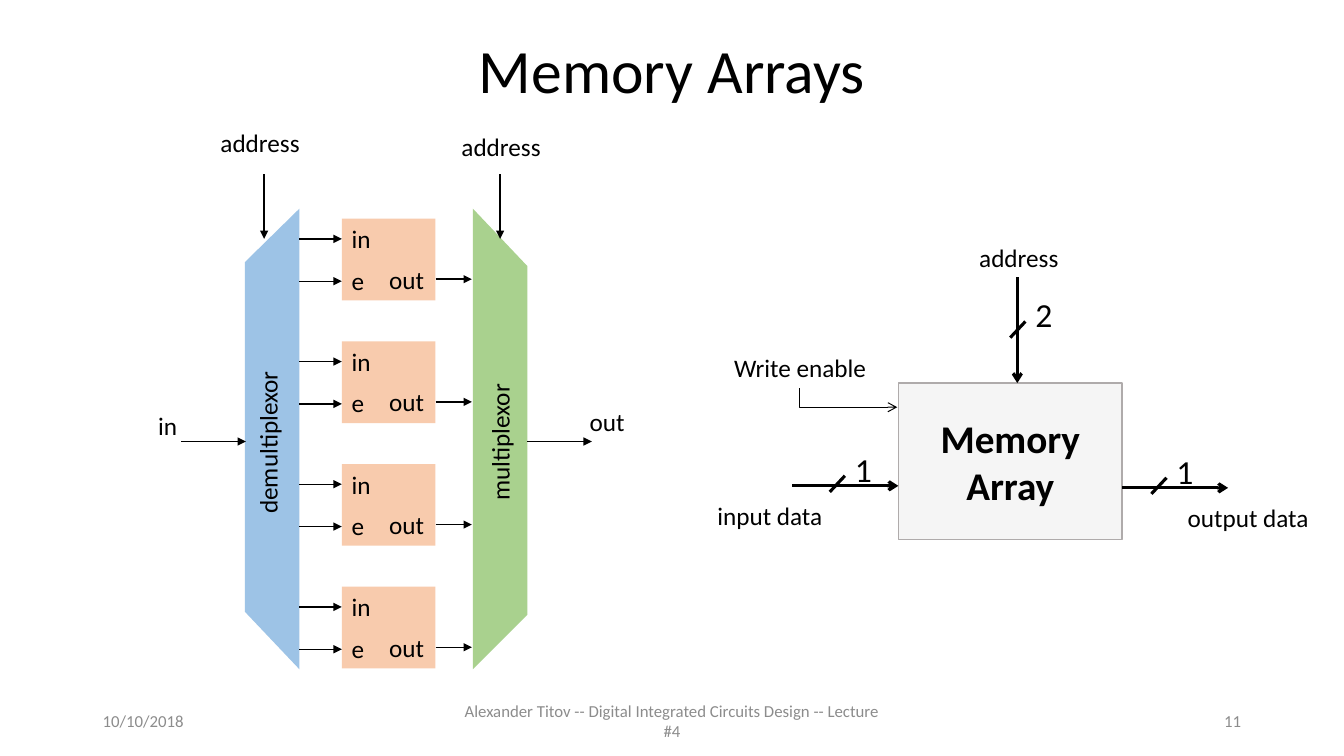
from lxml import etree
from pptx import Presentation
from pptx.dml.color import RGBColor
from pptx.enum.shapes import MSO_CONNECTOR, MSO_SHAPE
from pptx.enum.text import MSO_ANCHOR, MSO_AUTO_SIZE, PP_ALIGN
from pptx.oxml.ns import qn
from pptx.util import Inches, Pt

LEFT, CENTER, RIGHT = PP_ALIGN.LEFT, PP_ALIGN.CENTER, PP_ALIGN.RIGHT
MIDDLE, TOP = MSO_ANCHOR.MIDDLE, MSO_ANCHOR.TOP
GROW, FIXED = MSO_AUTO_SIZE.SHAPE_TO_FIT_TEXT, MSO_AUTO_SIZE.NONE
STRAIGHT, ELBOW = MSO_CONNECTOR.STRAIGHT, MSO_CONNECTOR.ELBOW
RECTANGLE = MSO_SHAPE.RECTANGLE

FONT = "Calibri"
COLORS = {
    "ink": "000000",
    "footer": "8C8C8C",
    "demultiplexor": "9DC3E6",
    "multiplexor": "A9D18E",
    "cell": "F8CBAD",
    "array": "F5F5F5",
    "array_edge": "AFABAB",
}
SLIDE_WIDTH, SLIDE_HEIGHT = 13.33, 7.5
MARGIN = 0.92
LABEL_HEIGHT = 0.4
CELL_COUNT, CELL_PITCH = 4, 1.217


def color(name):
    return RGBColor.from_string(COLORS[name])


def write(frame, text, size=18, ink="ink", bold=False, align=LEFT,
          anchor=TOP, spacing=None):
    frame.vertical_anchor = anchor
    for index, line in enumerate(text.split("\n")):
        para = frame.paragraphs[0] if index == 0 else frame.add_paragraph()
        para.alignment = align
        para.line_spacing = spacing
        span = para.add_run()
        span.text = line
        span.font.name = FONT
        span.font.size = Pt(size)
        span.font.bold = bold
        span.font.color.rgb = color(ink)


def add_label(page, text, left, top, width, height=LABEL_HEIGHT,
              turn=0, wrap=False, **style):
    box = page.shapes.add_textbox(*map(Inches, (left, top, width, height)))
    box.rotation = turn
    box.text_frame.word_wrap = wrap
    box.text_frame.auto_size = FIXED if wrap else GROW
    write(box.text_frame, text, **style)


def add_line(page, start, end, weight=1, arrow=None, arrow_end="tailEnd",
             kind=STRAIGHT):
    line = page.shapes.add_connector(kind, *map(Inches, (*start, *end)))
    line.line.color.rgb = color("ink")
    line.line.width = Pt(weight)
    properties = line._element.spPr
    if arrow:
        etree.SubElement(line.line._get_or_add_ln(), qn(f"a:{arrow_end}"), type=arrow)
    etree.SubElement(properties, qn("a:effectLst"))
    if kind == ELBOW:
        properties.find(qn("a:prstGeom")).set("prst", "bentConnector2")


def add_rectangle(page, left, top, width, height, fill, edge=None):
    box = page.shapes.add_shape(RECTANGLE, *map(Inches, (left, top, width, height)))
    box.shadow.inherit = False
    box.fill.solid()
    box.fill.fore_color.rgb = color(fill)
    if edge:
        box.line.color.rgb = color(edge)
        box.line.width = Pt(1)
    else:
        box.line.fill.background()
    return box


def add_selector(page, name, wide, narrow, top, bottom, slants):
    corners = [(wide, top), (wide, bottom),
               (narrow, bottom - slants[1]), (narrow, top + slants[0])]
    points = [(Inches(x), Inches(y)) for x, y in corners]
    builder = page.shapes.build_freeform(*points[0])
    builder.add_line_segments(points[1:], close=True)
    shape = builder.convert_to_shape()
    shape.shadow.inherit = False
    shape.fill.solid()
    shape.fill.fore_color.rgb = color(name)
    shape.line.fill.background()


def add_cell(page, left, top, width=0.93, height=0.81):
    add_rectangle(page, left, top, width, height, "cell")
    add_label(page, "in", left, top, 0.39)
    add_label(page, "out", left + 0.37, top + 0.4, 0.55)
    add_label(page, "e", left, top + 0.41, 0.33)
    for drop in (0.2, 0.62):
        add_line(page, (left - 0.42, top + drop), (left, top + drop), arrow="triangle")
    right, drop = left + width, top + 0.6
    add_line(page, (right, drop), (right + 0.36, drop), arrow="triangle")


def add_circuit(page, left, top, width=2.8, height=4.57):
    right, bottom, depth = left + width, top + height, 0.54
    middle = top + 2.31
    add_selector(page, "demultiplexor", left + depth, left, top, bottom, (0.53, 0.57))
    add_selector(page, "multiplexor", right - depth, right, top, bottom, (0.57, 0.54))
    for row in range(CELL_COUNT):
        add_cell(page, left + 0.96, top + 0.1 + row * CELL_PITCH)
    add_label(page, "demultiplexor", left - 0.59, top + 2.11, 1.63, turn=270)
    add_label(page, "multiplexor", left + 1.84, top + 2.11, 1.37, turn=270)
    for x in (left - 0.63, right):
        add_line(page, (x, middle), (x + 0.64, middle), arrow="triangle")
    add_label(page, "in", left - 0.96, top + 1.95, 0.39)
    add_label(page, "out", right + 0.52, top + 1.91, 0.55)
    for arrow_x, label_x, label_y in ((0.19, -0.35, -0.86), (2.53, 2.04, -0.82)):
        add_line(page, (left + arrow_x, top - 0.34), (left + arrow_x, top + 0.3),
                 arrow="triangle")
        add_label(page, "address", left + label_x, top + label_y, 1, align=CENTER)


def add_bus(page, start, end, slash, bits):
    add_line(page, start, end, weight=2.25, arrow="arrow")
    x, y = slash
    add_line(page, (x, y), (x + 0.15, y - 0.16), weight=2.25)
    add_label(page, bits, x + 0.15, y - 0.48, 0.37, 0.5, size=24)


def add_memory_array(page, left, top, width=2.22, height=1.55):
    right = left + width
    array = add_rectangle(page, left, top, width, height, "array", "array_edge")
    array.text_frame.word_wrap = False
    write(array.text_frame, "Memory\nArray", size=28, bold=True,
          align=CENTER, anchor=MIDDLE)
    address, data_in, data_out = left + 1.18, top + 1.02, top + 1.04
    add_bus(page, (address, top - 1.05), (address, top),
            (address - 0.07, top - 0.45), "2")
    add_bus(page, (left - 1.05, data_in), (left, data_in),
            (left - 0.68, data_in + 0.06), "1")
    add_bus(page, (right, data_out), (right + 1.05, data_out),
            (right + 0.29, data_out + 0.06), "1")
    for text, x, y, label_width in (
        ("address", left + 0.68, top - 1.45, 1.03),
        ("input data", left - 1.92, top + 1.11, 1.29),
        ("output data", right + 0.52, top + 1.13, 1.46),
        ("Write enable", left - 1.75, top - 0.35, 1.55),
    ):
        add_label(page, text, x, y, label_width, align=CENTER)
    add_line(page, (left - 0.01, top + 0.24), (left - 0.98, top + 0.05),
             weight=0.75, arrow="arrow", arrow_end="headEnd", kind=ELBOW)


def add_title(page, text):
    title = page.shapes.title
    title.left, title.top = Inches(MARGIN), 0
    title.width, title.height = Inches(SLIDE_WIDTH - 2 * MARGIN), Inches(1.45)
    write(title.text_frame, text, size=44, align=CENTER, anchor=MIDDLE, spacing=0.9)


def add_footer(page, top):
    for text, left, width, align in (
        ("10/10/2018", MARGIN, 3, LEFT),
        ("Alexander Titov -- Digital Integrated Circuits Design -- Lecture #4",
         (SLIDE_WIDTH - 4.5) / 2, 4.5, CENTER),
        ("11", SLIDE_WIDTH - MARGIN - 3, 3, RIGHT),
    ):
        add_label(page, text, left, top, width, wrap=True, size=12,
                  ink="footer", align=align, anchor=MIDDLE)


def main():
    deck = Presentation()
    deck.slide_width, deck.slide_height = Inches(SLIDE_WIDTH), Inches(SLIDE_HEIGHT)
    page = deck.slides.add_slide(deck.slide_layouts[5])
    add_title(page, "Memory Arrays")
    add_footer(page, 6.95)
    add_circuit(page, 2.43, 2.07)
    add_memory_array(page, 8.91, 3.8)
    deck.save("out.pptx")


if __name__ == "__main__":
    main()
